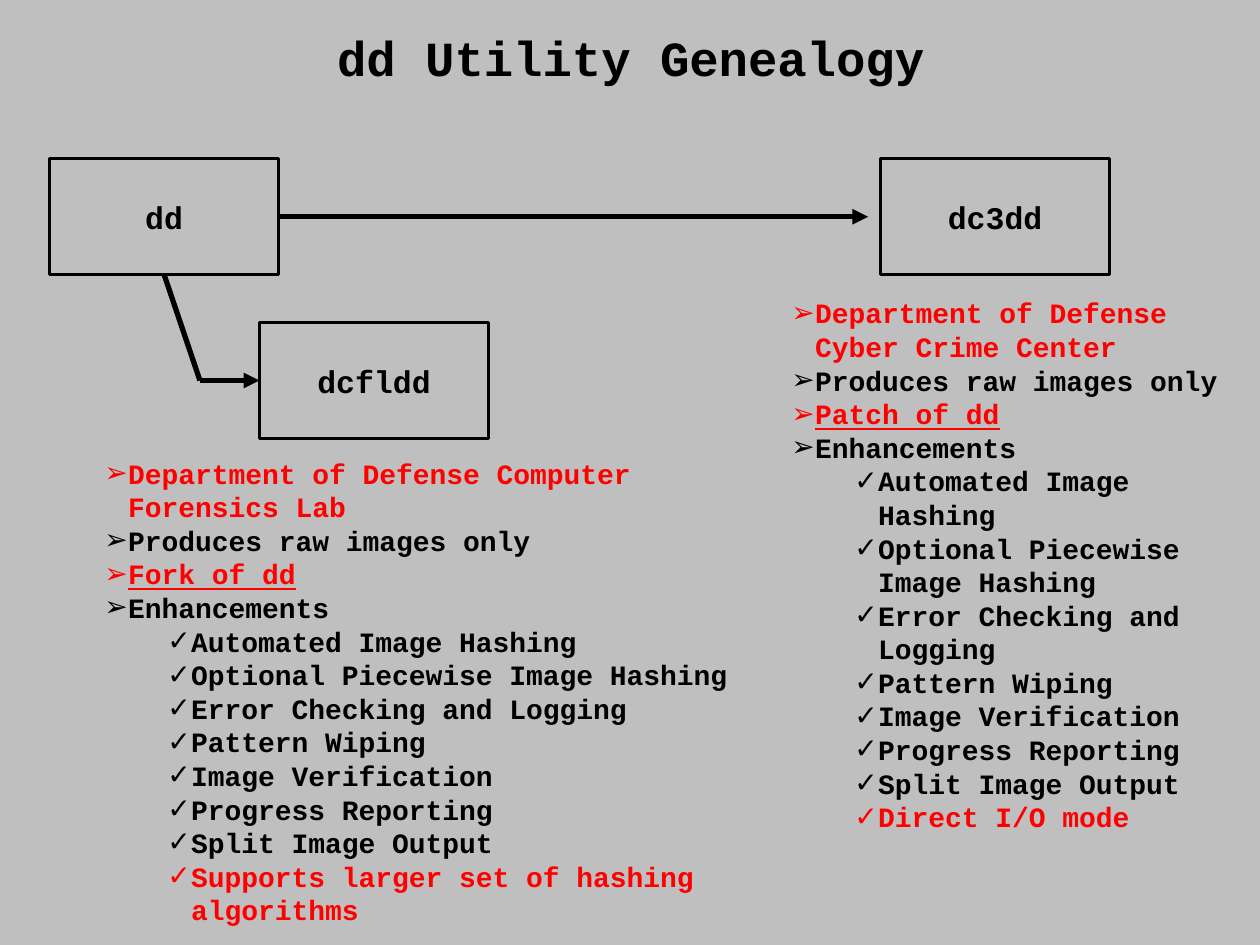
from dataclasses import dataclass

import pptx
import pptx.dml.color
import pptx.enum.shapes
import pptx.enum.text
import pptx.oxml.ns
import pptx.util
from lxml import etree
from pptx.util import Cm

FONT = "Courier New"
BLACK, RED, GRAY = "000000", "FF0000", "BFBFBF"
BOX_WIDTH, BOX_HEIGHT = 4.62, 2.34
TOP, LEFT_SIDE, BOTTOM, RIGHT_SIDE = range(4)
BULLETS = ("➢", "✓")
LEVEL_MARGINS = (0.48, 1.75)
HANGING = 0.48


@dataclass(frozen=True)
class Tool:
    name: str
    left: float
    top: float


@dataclass(frozen=True)
class Item:
    text: str
    level: int = 0
    color: str = BLACK
    underline: bool = False


@dataclass(frozen=True)
class Description:
    """Placement in cm, and the facts that set one tool apart."""
    left: float
    top: float
    width: float
    height: float
    origin: str
    relation: str
    extra: str


DD = Tool("dd", 1, 3.2)
DC3DD = Tool("dc3dd", 17.75, 3.2)
DCFLDD = Tool("dcfldd", 5.23, 6.5)

SHARED_ENHANCEMENTS = (
    "Automated Image Hashing",
    "Optional Piecewise Image Hashing",
    "Error Checking and Logging",
    "Pattern Wiping",
    "Image Verification",
    "Progress Reporting",
    "Split Image Output",
)

DESCRIPTIONS = (
    Description(15.7, 5.84, 9.63, 11.2, "Department of Defense Cyber Crime Center",
                "Patch of dd", "Direct I/O mode"),
    Description(1.85, 9.07, 13.84, 9.83, "Department of Defense Computer Forensics Lab",
                "Fork of dd", "Supports larger set of hashing algorithms"),
)


def rgb(value: str) -> pptx.dml.color.RGBColor:
    return pptx.dml.color.RGBColor.from_string(value)


def place(box, left: float, top: float, width: float, height: float) -> None:
    box.left, box.top, box.width, box.height = map(Cm, (left, top, width, height))


def style_text(paragraph, size: int, color: str = BLACK, underline: bool = False) -> None:
    for span in paragraph.runs:
        span.font.name = FONT
        span.font.size = pptx.util.Pt(size)
        span.font.bold = True
        span.font.underline = underline
        span.font.color.rgb = rgb(color)


def add_title(page, text: str) -> None:
    box = page.shapes.title
    place(box, 1.3, 0.3, 22.83, 1.7)
    frame = box.text_frame
    frame.text = text
    frame.vertical_anchor = pptx.enum.text.MSO_ANCHOR.MIDDLE
    frame.paragraphs[0].alignment = pptx.enum.text.PP_ALIGN.CENTER
    style_text(frame.paragraphs[0], 28)


def add_tool(page, tool: Tool):
    box = page.shapes.add_shape(
        pptx.enum.shapes.MSO_SHAPE.RECTANGLE,
        Cm(tool.left), Cm(tool.top), Cm(BOX_WIDTH), Cm(BOX_HEIGHT))
    box.shadow.inherit = False
    box.fill.solid()
    box.fill.fore_color.rgb = rgb(GRAY)
    box.line.color.rgb = rgb(BLACK)
    box.line.width = pptx.util.Pt(2)
    box.text_frame.text = tool.name
    box.text_frame.vertical_anchor = pptx.enum.text.MSO_ANCHOR.MIDDLE
    box.text_frame.paragraphs[0].alignment = pptx.enum.text.PP_ALIGN.CENTER
    style_text(box.text_frame.paragraphs[0], 18)
    return box


def add_line(page, start: tuple[float, float], end: tuple[float, float], arrow: bool = False):
    line = page.shapes.add_connector(
        pptx.enum.shapes.MSO_CONNECTOR.STRAIGHT, *map(Cm, (*start, *end)))
    line.line.color.rgb = rgb(BLACK)
    line.line.width = pptx.util.Pt(3)
    if arrow:
        outline = line.line._get_or_add_ln()
        etree.SubElement(outline, pptx.oxml.ns.qn("a:tailEnd"), type="triangle")
    etree.SubElement(line._element.spPr, pptx.oxml.ns.qn("a:effectLst"))
    return line


def list_items(description: Description) -> list[Item]:
    return [
        Item(description.origin, color=RED),
        Item("Produces raw images only"),
        Item(description.relation, color=RED, underline=True),
        Item("Enhancements"),
        *(Item(text, level=1) for text in SHARED_ENHANCEMENTS),
        Item(description.extra, level=1, color=RED),
    ]


def set_bullet(paragraph, level: int) -> None:
    paragraph.level = level
    properties = paragraph._p.get_or_add_pPr()
    properties.set("marL", str(Cm(LEVEL_MARGINS[level])))
    properties.set("indent", str(-Cm(HANGING)))
    etree.SubElement(properties, pptx.oxml.ns.qn("a:buChar"), char=BULLETS[level])


def fill_description(box, description: Description) -> None:
    place(box, description.left, description.top, description.width, description.height)
    items = list_items(description)
    frame = box.text_frame
    frame.text = "\n".join(item.text for item in items)
    frame.word_wrap = True
    frame.auto_size = pptx.enum.text.MSO_AUTO_SIZE.SHAPE_TO_FIT_TEXT
    for paragraph, item in zip(frame.paragraphs, items):
        set_bullet(paragraph, item.level)
        paragraph.space_before = pptx.util.Pt(0)
        style_text(paragraph, 16, item.color, item.underline)


def main() -> None:
    deck = pptx.Presentation()
    deck.slide_width, deck.slide_height = Cm(25.4), Cm(19.05)
    page = deck.slides.add_slide(deck.slide_layouts.get_by_name("Two Content"))
    page.background.fill.solid()
    page.background.fill.fore_color.rgb = rgb(GRAY)

    add_title(page, "dd Utility Genealogy")
    for index, description in enumerate(DESCRIPTIONS, start=1):
        fill_description(page.placeholders[index], description)
    for box in list(page.placeholders):
        if not box.text_frame.text:
            box._element.getparent().remove(box._element)

    dd_box, _, dcfldd_box = [add_tool(page, tool) for tool in (DD, DC3DD, DCFLDD)]

    half_width, half_height = BOX_WIDTH / 2, BOX_HEIGHT / 2
    dd_middle = DD.top + half_height
    bend = (4.03, DCFLDD.top + half_height)
    stem = add_line(page, (DD.left + half_width, DD.top + BOX_HEIGHT), bend)
    stem.begin_connect(dd_box, BOTTOM)
    patch_arrow = add_line(page, (DD.left + BOX_WIDTH, dd_middle), (17.5, dd_middle), arrow=True)
    patch_arrow.begin_connect(dd_box, RIGHT_SIDE)
    fork_arrow = add_line(page, bend, (DCFLDD.left, bend[1]), arrow=True)
    fork_arrow.end_connect(dcfldd_box, LEFT_SIDE)

    deck.save("out.pptx")


if __name__ == "__main__":
    main()
